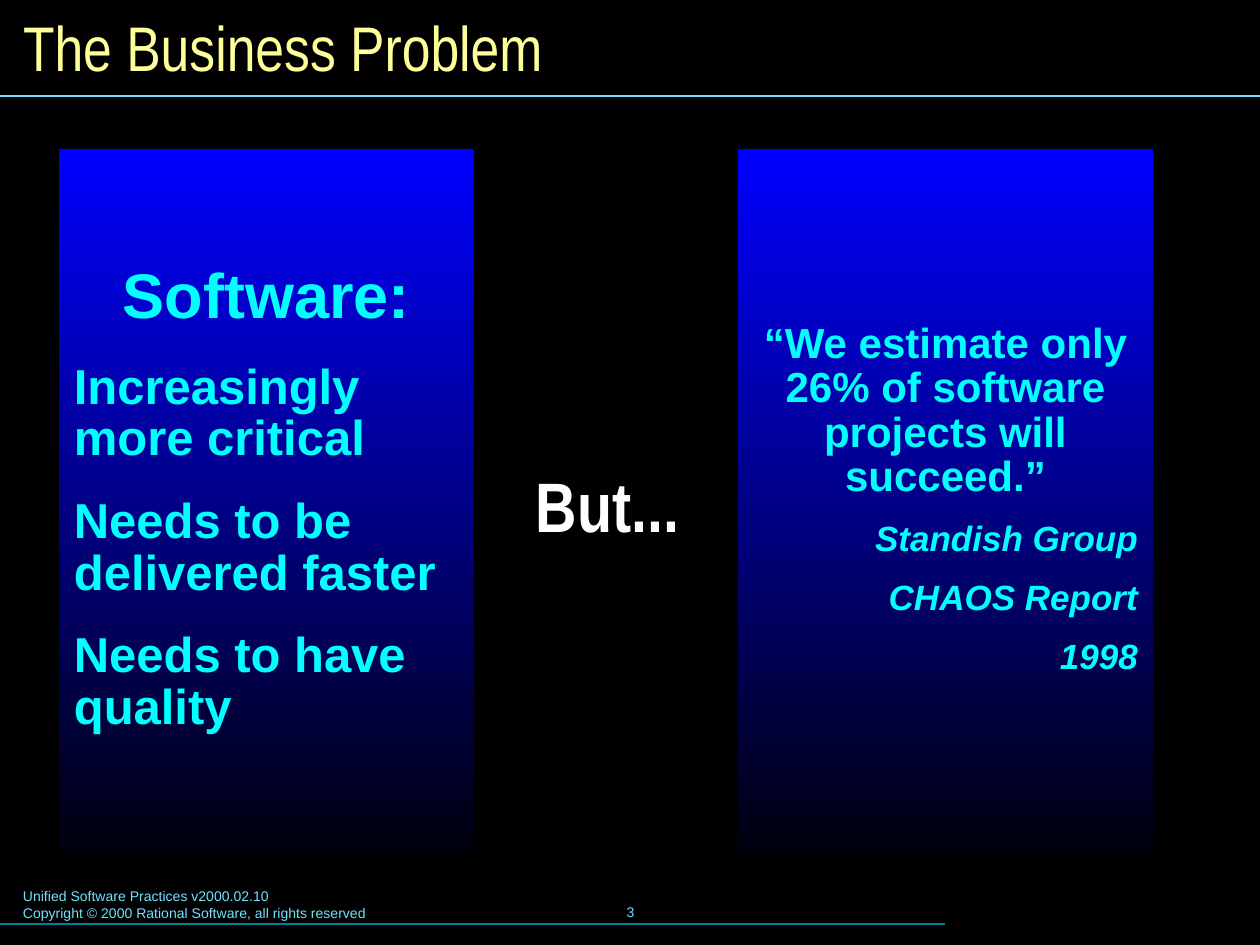
from pptx import Presentation
from pptx import util as u
from pptx.dml.color import RGBColor
from pptx.enum import shapes, text
from pptx.oxml.ns import qn
from lxml import etree

SCALE = 914400 / 126  # EMU in one px
LEFT, CENTER, RIGHT = text.PP_ALIGN.LEFT, text.PP_ALIGN.CENTER, text.PP_ALIGN.RIGHT
TOP, MIDDLE = text.MSO_ANCHOR.TOP, text.MSO_ANCHOR.MIDDLE


def px(*lengths):
    return [u.Emu(round(length * SCALE)) for length in lengths]


def write(box, lines, font, color, anchor=MIDDLE, wrap=True, inset=(13, 6), spacing=None):
    """Fill a box with lines of (text, alignment, space before, font values)."""
    frame = box.text_frame
    side, edge = px(*inset)
    frame_format = {"auto_size": text.MSO_AUTO_SIZE.NONE, "word_wrap": wrap,
                    "vertical_anchor": anchor, "margin_left": side, "margin_right": side,
                    "margin_top": edge, "margin_bottom": edge}
    for name, value in frame_format.items():
        setattr(frame, name, value)
    for index, (words, alignment, before, values) in enumerate(lines):
        para = frame.add_paragraph() if index else frame.paragraphs[0]
        para.alignment = alignment
        para.space_before = u.Pt(before)
        if spacing:
            para.line_spacing = spacing
        span = para.add_run()
        span.text = words
        span.font.name = font
        span.font.color.rgb = RGBColor.from_string(color)
        for name, value in values.items():
            setattr(span.font, name, value)


deck = Presentation()
deck.slide_width, deck.slide_height = px(1260, 945)
page = deck.slides.add_slide(deck.slide_layouts[5])
page.background.fill.solid()
page.background.fill.fore_color.rgb = RGBColor.from_string("000000")

# Rules under the title and the footer
for width, y, color in [(945, 924, "007E9F"), (1260, 96, "73E1FF")]:
    rule = page.shapes.add_connector(shapes.MSO_CONNECTOR.STRAIGHT, *px(0, y, width, y))
    rule.line.width = u.Pt(0.75)
    rule.line.color.rgb = RGBColor.from_string(color)
    etree.SubElement(rule.element.spPr, qn("a:effectLst"))

# Title
title = page.shapes.title
title.left, title.top, title.width, title.height = px(10, 10, 1240, 73)
write(title, [("The Business Problem", LEFT, 0, {"size": u.Pt(36), "bold": False})],
      "Arial Narrow", "FFFF99")

# Gradient panels
heading = {"size": u.Pt(36), "bold": True}
point = {"size": u.Pt(28), "bold": True}
quote = {"size": u.Pt(24), "bold": True}
credit = {"size": u.Pt(20), "bold": True, "italic": True}
panels = {
    59: [("Software:", CENTER, 0, heading),
         ("Increasingly more critical", LEFT, 17.5, point),
         ("Needs to be delivered faster", LEFT, 17.5, point),
         ("Needs to have quality", LEFT, 17.5, point)],
    738: [("“We estimate only 26% of software projects will succeed.”", CENTER, 0, quote),
          ("Standish Group", RIGHT, 12.5, credit),
          ("CHAOS Report", RIGHT, 12.5, credit),
          ("1998", RIGHT, 12.5, credit)],
}
for left, lines in panels.items():
    panel = page.shapes.add_shape(shapes.MSO_SHAPE.RECTANGLE, *px(left, 149, 415, 702))
    panel.shadow.inherit = False
    panel.line.fill.background()
    panel.fill.gradient()
    panel.fill.gradient_angle = 270
    for stop, color in zip(panel.fill.gradient_stops, ["0000FF", "00000F"]):
        stop.color.rgb = RGBColor.from_string(color)
    write(panel, lines, "Arial", "00FFFF", inset=(15, 8), spacing=0.88)

# Word between the panels
but = page.shapes.add_textbox(*px(467, 467, 281, 87))
write(but, [("But...", CENTER, 0, {"size": u.Pt(40), "bold": True})],
      "Arial Narrow", "FFFFFF", wrap=False, spacing=0.88)

# Footer and page number
small = {"size": u.Pt(8)}
footer = page.shapes.add_textbox(*px(10, 882, 643, 47))
write(footer, [("Unified Software Practices v2000.02.10", LEFT, 0, small),
               ("Copyright © 2000 Rational Software, all rights reserved", LEFT, 0, small)],
      "Arial", "73E1FF", anchor=TOP)
number = page.shapes.add_textbox(*px(431, 880, 399, 63))
write(number, [("3", CENTER, 0, small)], "Arial", "73E1FF", wrap=False)

deck.save("out.pptx")
